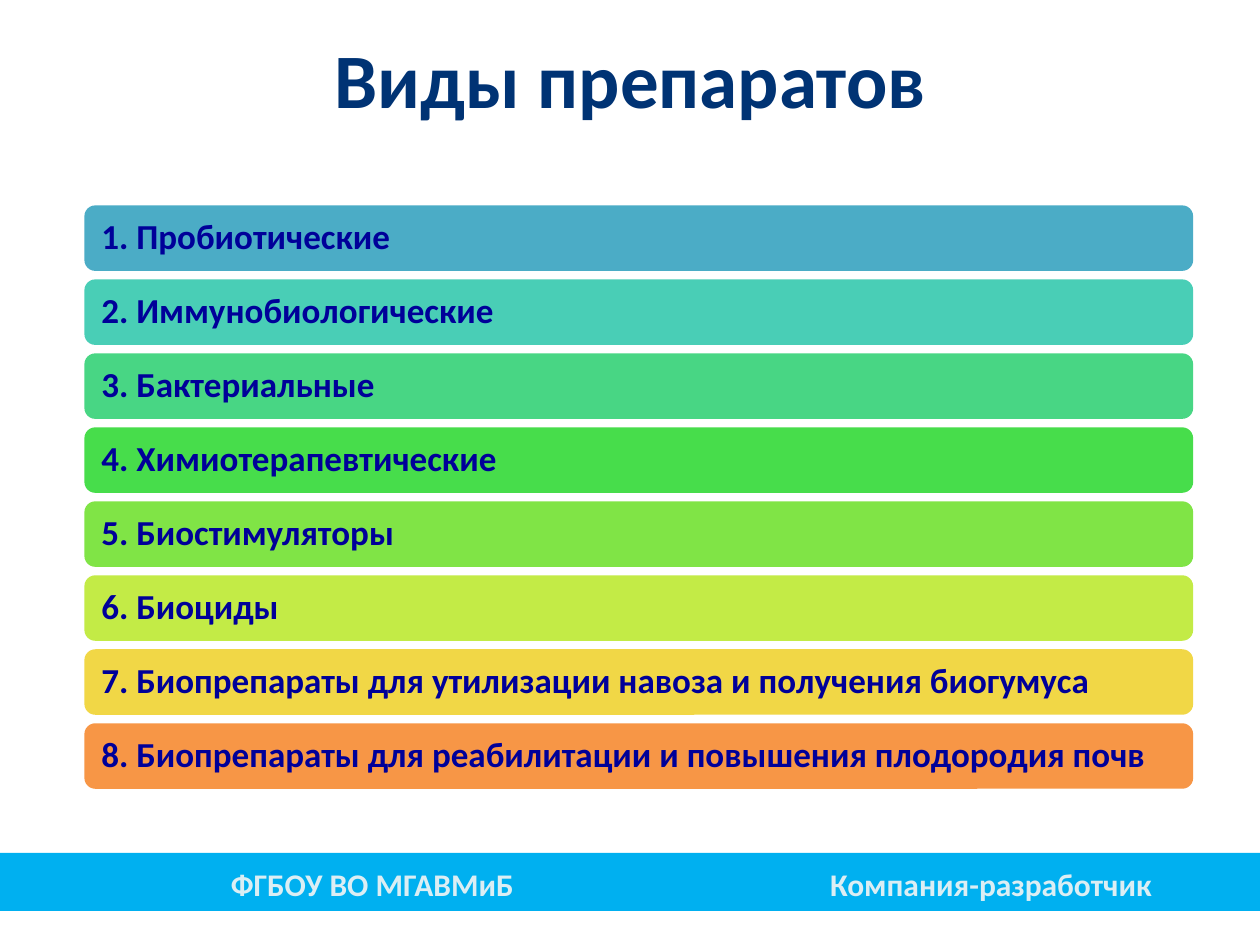
from typing import NamedTuple

from lxml import etree
from pptx import Presentation
from pptx.dml.color import RGBColor
from pptx.enum.shapes import MSO_SHAPE
from pptx.enum.text import MSO_ANCHOR, PP_ALIGN
from pptx.oxml import parse_xml
from pptx.oxml.ns import nsdecls
from pptx.util import Inches, Pt

FONT = "Calibri"
NAVY, INK, PALE, SKY = "003374", "000099", "DBEEF4", "00B0F0"
FIRST_TOP, LAST_TOP = 1.63, 5.74


class Bar(NamedTuple):
    text: str
    fill: str


class FooterLabel(NamedTuple):
    text: str
    left: float
    width: float


BARS = [
    Bar("1. Пробиотические", "4BACC6"),
    Bar("2. Иммунобиологические", "49CEB6"),
    Bar("3. Бактериальные", "48D684"),
    Bar("4. Химиотерапевтические", "47DD4B"),
    Bar("5. Биостимуляторы", "80E446"),
    Bar("6. Биоциды", "C3EB46"),
    Bar("7. Биопрепараты для утилизации навоза и получения биогумуса", "F1D746"),
    Bar("8. Биопрепараты для реабилитации и повышения плодородия почв", "F79646"),
]
FOOTER = [
    FooterLabel("ФГБОУ ВО МГАВМиБ", 1.72, 2.47),
    FooterLabel("Компания-разработчик", 6.41, 2.91),
]


def rgb(color: str) -> RGBColor:
    return RGBColor.from_string(color)


def write(s, text: str, size: int, color: str, align: PP_ALIGN, spacing: float = 1.0):
    """Fill a shape with one bold line and return its run."""
    tf = s.text_frame
    tf.text = text
    tf.word_wrap = True
    p = tf.paragraphs[0]
    p.alignment = align
    p.line_spacing = spacing
    r = p.runs[0]
    r.font.name, r.font.size, r.font.bold = FONT, Pt(size), True
    r.font.color.rgb = rgb(color)
    return r


def add_block(slide, kind: MSO_SHAPE, left: float, top: float,
              width: float, height: float, fill: str):
    s = slide.shapes.add_shape(kind, Inches(left), Inches(top), Inches(width), Inches(height))
    s.shadow.inherit = False
    s.fill.solid()
    s.fill.fore_color.rgb = rgb(fill)
    s.line.fill.background()
    return s


def add_bar(slide, bar: Bar, top: float) -> None:
    s = add_block(slide, MSO_SHAPE.ROUNDED_RECTANGLE, 0.67, top, 8.8, 0.52, bar.fill)
    tf = s.text_frame
    tf.margin_left = tf.margin_right = Inches(0.11)
    tf.vertical_anchor = MSO_ANCHOR.MIDDLE
    write(s, bar.text, 20, INK, PP_ALIGN.LEFT, 0.9)


def add_footer_label(slide, label: FooterLabel) -> None:
    s = slide.shapes.add_textbox(Inches(label.left), Inches(6.82), Inches(label.width), Inches(0.4))
    write(s, label.text, 18, PALE, PP_ALIGN.CENTER)


def set_title(slide, text: str) -> None:
    s = slide.shapes.title
    s.left, s.top, s.width, s.height = Inches(0.72), Inches(0.13), Inches(8.57), Inches(1.07)
    s.text_frame.vertical_anchor = MSO_ANCHOR.MIDDLE
    r = write(s, text, 44, NAVY, PP_ALIGN.CENTER, 0.9)
    outline = parse_xml(
        f'<a:ln {nsdecls("a")} w="{Pt(0.75)}"><a:solidFill>'
        f'<a:srgbClr val="{PALE}"/></a:solidFill></a:ln>'
    )
    r.font._element.insert(0, outline)


def main() -> None:
    prs = Presentation()
    prs.slide_width, prs.slide_height = Inches(10), Inches(7.5)
    slide = prs.slides.add_slide(prs.slide_layouts[5])
    set_title(slide, "Виды препаратов")

    pitch = (LAST_TOP - FIRST_TOP) / (len(BARS) - 1)
    for i, bar in enumerate(BARS):
        add_bar(slide, bar, FIRST_TOP + i * pitch)

    add_block(slide, MSO_SHAPE.RECTANGLE, 0, 6.77, 10, 0.46, SKY)
    for label in FOOTER:
        add_footer_label(slide, label)
    prs.save("out.pptx")


if __name__ == "__main__":
    main()
